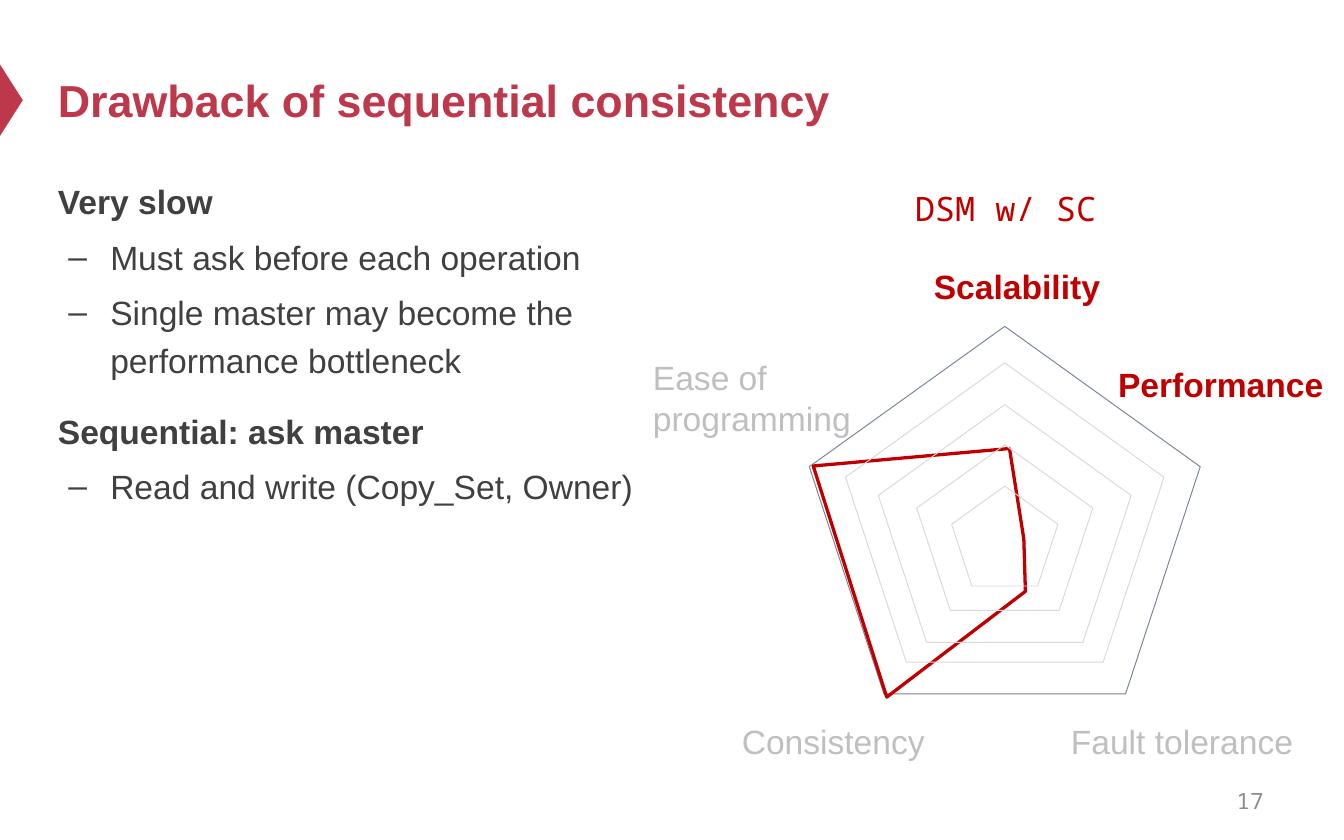
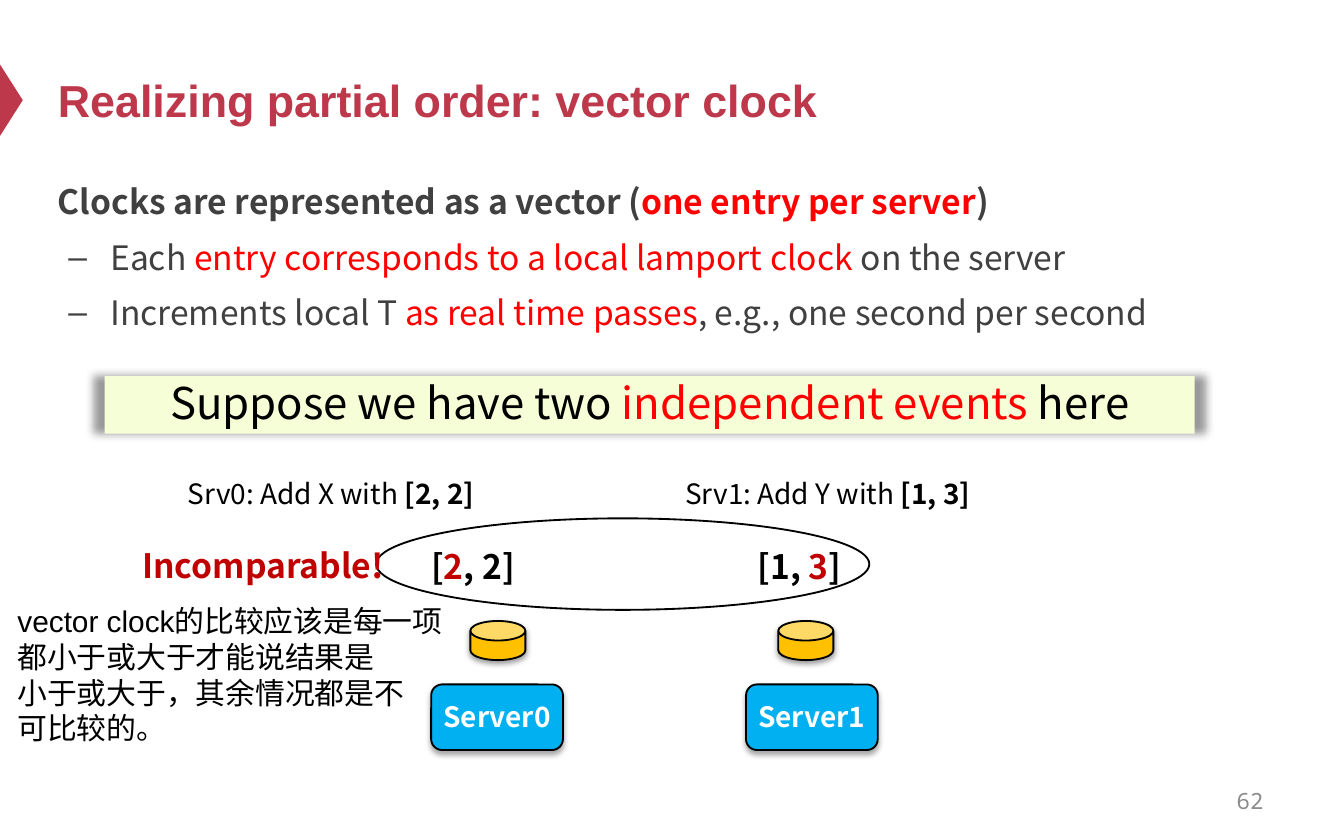
from lxml import etree
from pptx import Presentation
from pptx import util as u
from pptx.dml import color as c
from pptx.enum import shapes as s, text as t
from pptx.oxml import ns as n

Cm, Pt = u.Cm, u.Pt
CRIMSON, GREY, PAGE_GREY = "BE384B", "404040", "8C8C8C"
RED, DARK_RED, BLACK, WHITE = "FF0000", "C00000", "000000", "FFFFFF"
FADED, RING, OUTER_RING = "BFBFBF", "D9D9D9", "778495"
AMBER, SKY, LIME = "FFC000", "00B0F0", "F5FED6"
SANS, NOTO, MONO = "Arial", "Noto Sans CJK SC", "Noto Sans Mono"

TITLE_FORMAT = {"name": SANS, "size": Pt(24), "bold": True, "color": CRIMSON}
PAGE_FORMAT = {"name": MONO, "size": Pt(12), "color": PAGE_GREY}
NOTO_FORMAT = {"name": NOTO, "size": Pt(18), "bold": False, "color": BLACK}
BULLET_INDENT, BULLET_HANG = Cm(0.99), Cm(0.79)


def rgb(hex_string):
    return c.RGBColor.from_string(hex_string)


def add_child(parent, tag, **attributes):
    child = etree.SubElement(parent, n.qn(tag))
    for name, value in attributes.items():
        child.set(name, str(value))
    return child


def place(shape, box):
    for name, value in zip(("left", "top", "width", "height"), box):
        setattr(shape, name, Cm(value))


def write(paragraph, runs, base):
    """Add runs, each a string or a (string, format changes) pair."""
    for item in [runs] if isinstance(runs, str) else runs:
        words, changes = (item, {}) if isinstance(item, str) else item
        run = paragraph.add_run()
        run.text = words
        for name, value in {**base, **changes}.items():
            if name == "color":
                run.font.color.rgb = rgb(value)
            else:
                setattr(run.font, name, value)


def add_text(slide, box, lines, base, wrap=True, grow=True, **paragraph_format):
    shape = slide.shapes.add_textbox(*map(Cm, box))
    frame = shape.text_frame
    frame.word_wrap = wrap
    if grow:
        frame.auto_size = t.MSO_AUTO_SIZE.SHAPE_TO_FIT_TEXT
    else:
        frame.vertical_anchor = t.MSO_ANCHOR.MIDDLE
    for index, runs in enumerate(lines):
        paragraph = frame.add_paragraph() if index else frame.paragraphs[0]
        for name, value in paragraph_format.items():
            setattr(paragraph, name, value)
        write(paragraph, runs, base)
    return shape


def style(shape, fill=None, line=None, weight=1):
    shape.shadow.inherit = False
    if fill:
        shape.fill.solid()
        shape.fill.fore_color.rgb = rgb(fill)
    else:
        shape.fill.background()
    if line:
        shape.line.color.rgb = rgb(line)
        shape.line.width = Pt(weight)
    else:
        shape.line.fill.background()


def add_preset(slide, kind, box, **look):
    shape = slide.shapes.add_shape(kind, *map(Cm, box))
    style(shape, **look)
    return shape


def cast_shadow(shape, opacity, blur, distance, scale=100):
    """Cast a black shadow straight down; blur and distance in points."""
    effects = shape._element.spPr.find(n.qn("a:effectLst"))
    shadow = add_child(effects, "a:outerShdw", blurRad=Pt(blur), dist=Pt(distance),
                       dir=5400000, sx=scale * 1000, algn="ctr", rotWithShape=0)
    black = add_child(shadow, "a:srgbClr", val=BLACK)
    add_child(black, "a:alpha", val=opacity * 1000)


def label_shape(shape, runs, base, insets):
    frame = shape.text_frame
    sides = ("margin_left", "margin_top", "margin_right", "margin_bottom")
    for name, value in zip(sides, insets):
        setattr(frame, name, Cm(value))
    paragraph = frame.paragraphs[0]
    paragraph.alignment = t.PP_ALIGN.CENTER
    write(paragraph, runs, base)
    return frame


def add_page(presentation, title, number):
    """Add a slide with the shared marker, title and page number."""
    slide = presentation.slides.add_slide(presentation.slide_layouts[1])
    marker = add_preset(slide, s.MSO_SHAPE.ISOSCELES_TRIANGLE,
                        (-0.46, 1.68, 1.35, 0.43), fill=CRIMSON)
    marker.rotation = 90
    heading = slide.shapes.title
    place(heading, (0.84, 0.64, 22.86, 2.49))
    frame = heading.text_frame
    frame.auto_size = t.MSO_AUTO_SIZE.NONE
    frame.vertical_anchor = t.MSO_ANCHOR.MIDDLE
    frame.paragraphs[0].alignment = t.PP_ALIGN.LEFT
    write(frame.paragraphs[0], title, TITLE_FORMAT)
    add_text(slide, (18.21, 14.71, 5.92, 0.84), [number], PAGE_FORMAT,
             grow=False, alignment=t.PP_ALIGN.RIGHT)
    return slide


def fill_body(slide, box, font, items):
    """Write (level, runs) items: bold headings and dashed points."""
    body = slide.placeholders[1]
    place(body, box)
    frame = body.text_frame
    frame.auto_size = t.MSO_AUTO_SIZE.NONE
    for index, (level, runs) in enumerate(items):
        paragraph = frame.add_paragraph() if index else frame.paragraphs[0]
        paragraph.level = level
        paragraph.line_spacing = 1.2
        paragraph.space_before = Pt(3.6 if level else 12)
        properties = paragraph._p.get_or_add_pPr()
        properties.set("marL", str(BULLET_INDENT if level else 0))
        properties.set("indent", str(-BULLET_HANG if level else 0))
        if level:
            add_child(properties, "a:buChar", char="–")
        else:
            add_child(properties, "a:buNone")
        write(paragraph, runs, {"name": font, "size": Pt(18),
                                "bold": not level, "color": GREY})


def add_radar(slide, left, top):
    """Draw the five-axis property diagram from its top left corner."""
    def ring(ring_top, width, line):
        add_preset(slide, s.MSO_SHAPE.REGULAR_PENTAGON,
                   (left + 6.9 - width / 2, top + ring_top, width, width * 0.94),
                   line=line, weight=0.5)

    labels = [
        (["Scalability"], 5.31, 1.47, 3.68, True),
        (["Consistency"], 1.68, 10.08, 4.01, False),
        (["Fault tolerance"], 7.9, 10.08, 4.93, False),
        (["Ease of", "programming"], 0, 3.2, 4.29, False),
        (["Performance"], 8.79, 3.33, 4.42, True),
    ]
    for lines, x, y, width, weak in labels:
        add_text(slide, (left + x, top + y, width, 0.23 + 0.79 * len(lines)), lines,
                 {"name": SANS, "size": Pt(18), "bold": weak,
                  "color": DARK_RED if weak else FADED}, wrap=False)

    ring(2.74, 7.39, OUTER_RING)
    profile = [(3.28, 5.38), (6.99, 5.05), (7.26, 6.76), (7.29, 7.75), (4.67, 9.75)]
    points = [(Cm(left + x), Cm(top + y)) for x, y in profile]
    builder = slide.shapes.build_freeform(*points[0])
    builder.add_line_segments(points[1:], close=True)
    style(builder.convert_to_shape(), line=DARK_RED, weight=1.75)
    for ring_top, width in [(3.43, 6.02), (4.22, 4.78), (4.98, 3.33), (5.76, 2.01)]:
        ring(ring_top, width, RING)

    add_text(slide, (left + 4.95, top, 4.04, 1.02), ["DSM w/ SC"],
             {"name": MONO, "size": Pt(18), "color": DARK_RED}, wrap=False)


def add_banner(slide, box, runs):
    banner = add_preset(slide, s.MSO_SHAPE.RECTANGLE, box, fill=LIME)
    cast_shadow(banner, 40, 5, 0, scale=102)
    frame = label_shape(banner, runs, {**NOTO_FORMAT, "size": Pt(23.4)},
                        (0.18, 0, 0.18, 0.08))
    frame.vertical_anchor = t.MSO_ANCHOR.TOP


def add_server(slide, left, top, name, event, clock, shifts):
    """Stack event, clock, disk and server; shifts move the first three sideways."""
    event_left, clock_left, disk_left = (left + shift for shift in shifts)
    add_text(slide, (event_left, top, 6.81, 0.79), [event],
             {**NOTO_FORMAT, "size": Pt(15)}, line_spacing=0.8)
    add_text(slide, (clock_left, top + 1.19, 2.77, 1.02), [clock],
             {**NOTO_FORMAT, "bold": True})
    disk = add_preset(slide, s.MSO_SHAPE.CAN, (disk_left, top + 2.74, 1.04, 0.74),
                      fill=AMBER, line=BLACK)
    disk.adjustments[0] = 0.5
    cast_shadow(disk, 38, 3.1, 1.6)
    server = add_preset(slide, s.MSO_SHAPE.ROUNDED_RECTANGLE,
                        (left, top + 3.94, 2.49, 1.24), fill=SKY, line=BLACK)
    cast_shadow(server, 35, 3.1, 1.8)
    frame = label_shape(server, name, {**NOTO_FORMAT, "size": Pt(15), "bold": True,
                                       "color": WHITE}, (0, 0.08, 0, 0.13))
    frame.word_wrap = False


def add_comparison(slide, left, top):
    """Ring the two clocks and explain why they cannot be ordered."""
    add_preset(slide, s.MSO_SHAPE.OVAL, (left + 7.03, top, 9.32, 1.73), line=BLACK)
    add_text(slide, (left + 2.36, top + 0.38, 5.26, 1.02), ["Incomparable!"],
             {**NOTO_FORMAT, "bold": True, "color": DARK_RED})
    add_text(slide, (left, top + 1.47, 8.76, 3), [
        "vector clock的比较应该是每一项",
        "都小于或大于才能说结果是",
        "小于或大于，其余情况都是不",
        "可比较的。",
    ], {"name": SANS, "size": Pt(16), "color": BLACK})


def build_drawback(presentation):
    slide = add_page(presentation, "Drawback of sequential consistency", "17")
    fill_body(slide, (0.84, 3.15, 11.43, 10.46), SANS, [
        (0, "Very slow"),
        (1, "Must ask before each operation"),
        (1, "Single master may become the performance bottleneck"),
        (0, "Sequential: ask master"),
        (1, "Read and write (Copy_Set, Owner)"),
    ])
    add_radar(slide, 12.09, 3.43)


def build_vector_clock(presentation):
    slide = add_page(presentation, "Realizing partial order: vector clock", "62")
    red, dark_red, bold = {"color": RED}, {"color": DARK_RED}, {"bold": True}
    fill_body(slide, (0.84, 3.15, 22.86, 6.6), NOTO, [
        (0, ["Clocks are represented as a vector (", ("one entry per server", red), ")"]),
        (1, ["Each ", ("entry corresponds to a local lamport clock", red),
             " on the server"]),
        (1, ["Increments local T ", ("as real time passes", red),
             ", e.g., one second per second"]),
    ])
    add_server(slide, 8.15, 9, "Server0", ["Srv0: Add X with ", ("[2, 2]", bold)],
               ["[", ("2", dark_red), ", 2]"], (-4.85, -0.25, 0.74))
    add_server(slide, 14.1, 9, "Server1", ["Srv1: Add Y with ", ("[1, 3]", bold)],
               ["[1, ", ("3", dark_red), "]"], (-1.4, -0.03, 0.61))
    add_banner(slide, (1.98, 7.11, 20.6, 1.09),
               ["Suppose we have two ", ("independent events", red), " here"])
    add_comparison(slide, 0.08, 9.8)


def main():
    presentation = Presentation()
    presentation.slide_width, presentation.slide_height = Cm(25.4), Cm(15.88)
    build_drawback(presentation)
    build_vector_clock(presentation)
    presentation.save("out.pptx")


if __name__ == "__main__":
    main()
